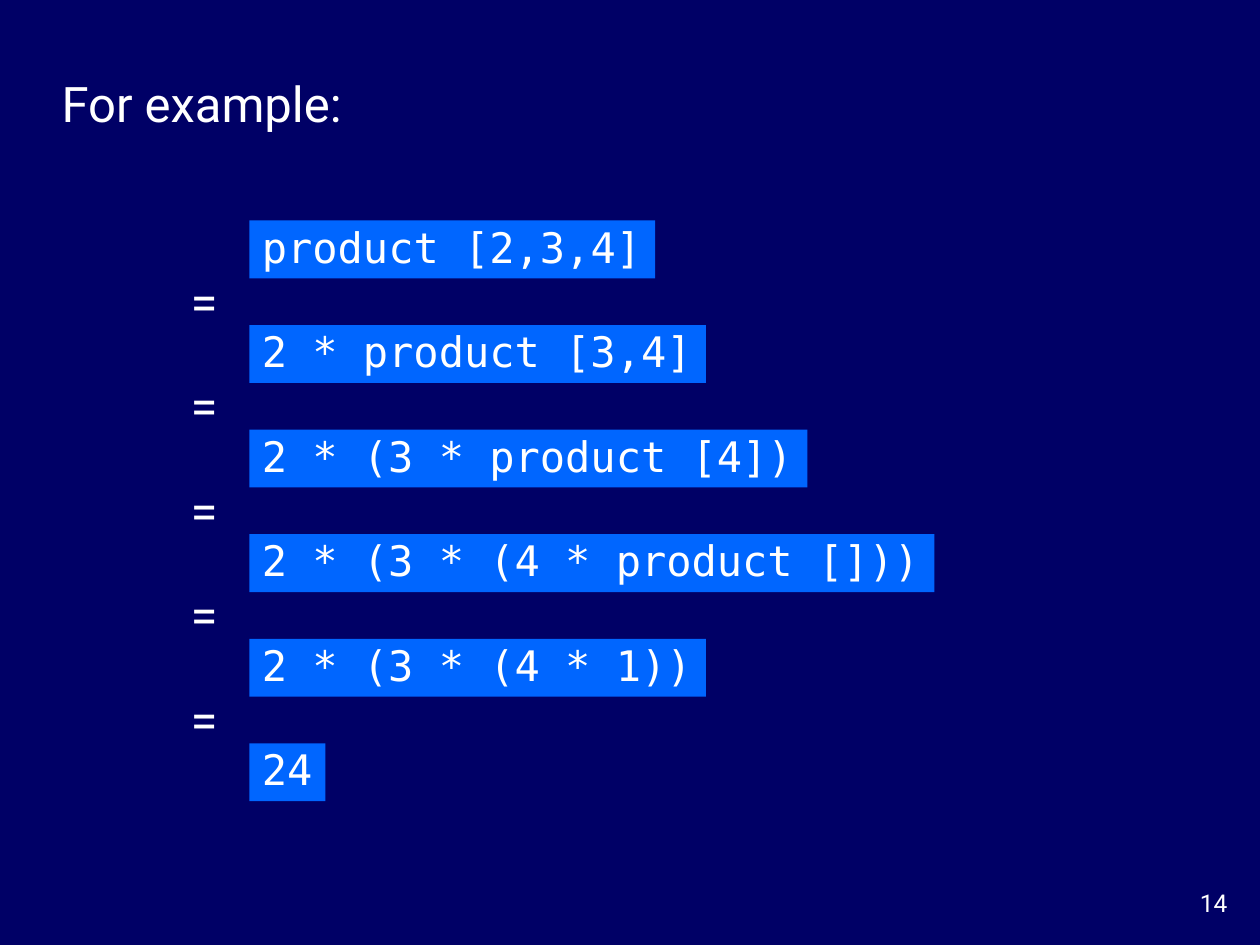
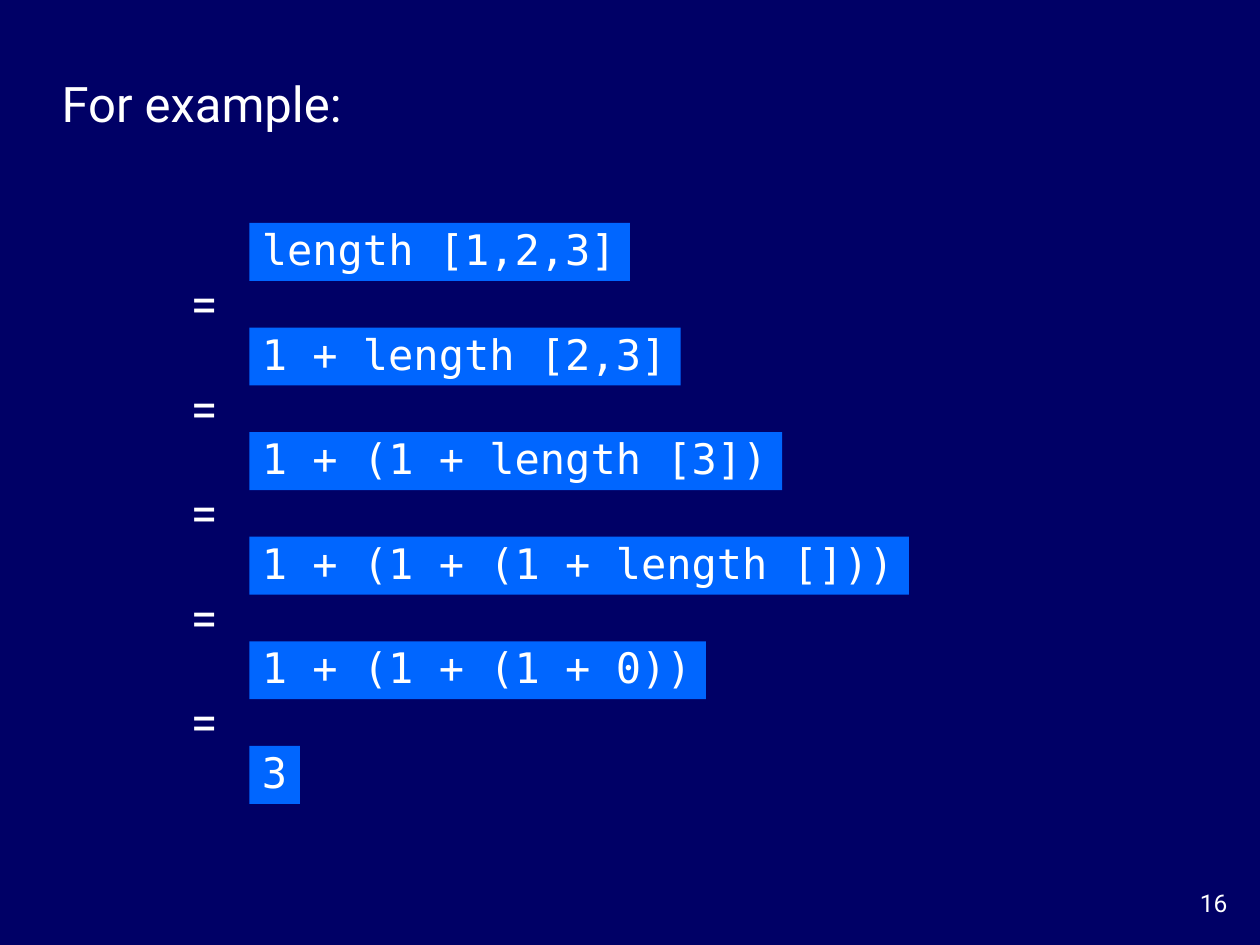
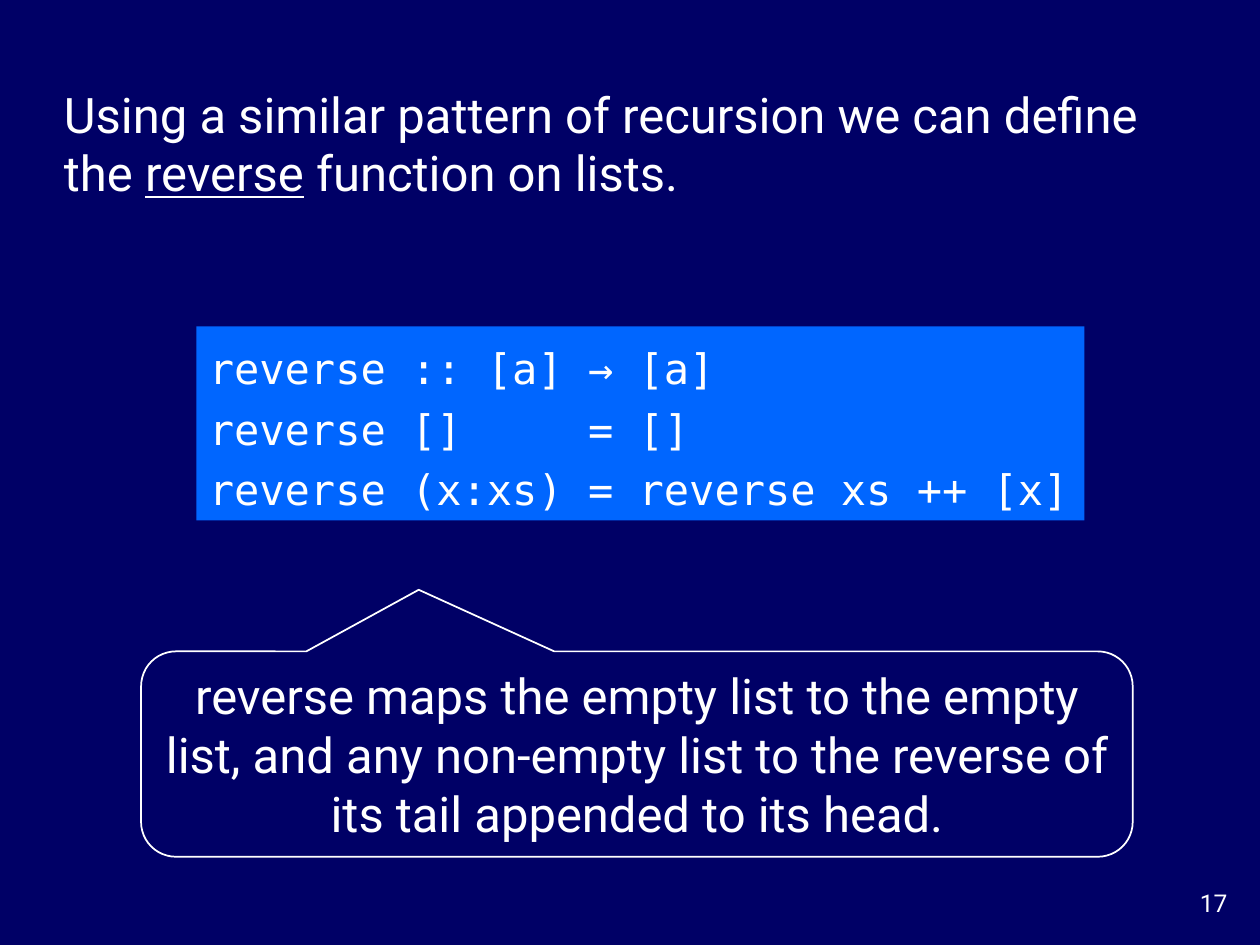
from pptx import Presentation
from pptx.dml.color import RGBColor
from pptx.enum import shapes, text
from pptx.util import Inches, Pt

# Shared style
NAVY = RGBColor(0x00, 0x00, 0x66)
BLUE = RGBColor(0x00, 0x66, 0xFF)
WHITE = RGBColor(0xFF, 0xFF, 0xFF)
BODY = {"name": "Roboto", "size": Pt(28)}
CODE = {"name": "DejaVu Sans Mono", "size": Pt(24)}
FOOTER = {"name": "Roboto", "size": Pt(14)}
LEFT, CENTER, RIGHT = (text.PP_ALIGN.LEFT, text.PP_ALIGN.CENTER,
                       text.PP_ALIGN.RIGHT)

# Content: page number, top of the first step, steps of the evaluation
EXAMPLES = [
    (14, 1.75, ["product [2,3,4]", "2 * product [3,4]",
                "2 * (3 * product [4])", "2 * (3 * (4 * product []))",
                "2 * (3 * (4 * 1))", "24"]),
    (16, 1.77, ["length [1,2,3]", "1 + length [2,3]",
                "1 + (1 + length [3])", "1 + (1 + (1 + length []))",
                "1 + (1 + (1 + 0))", "3"]),
]
REVERSE_PAGE = 17
REVERSE_INTRO = [("Using a similar pattern of recursion we can define the ", False),
                 ("reverse", True), (" function on lists.", False)]
REVERSE_CODE = ["reverse :: [a] → [a]",
                "reverse []     = []",
                "reverse (x:xs) = reverse xs ++ [x]"]
REVERSE_NOTE = ("reverse maps the empty list to the empty list, and any non-empty "
                "list to the reverse of its tail appended to its head.")

# Layout, in inches
STEP_LEFT, STEP_PITCH, STEP_HEIGHT = 1.98, 0.83, 0.46
EQUALS_LEFT, EQUALS_RISE = 1.38, 0.48
CHAR_WIDTH = 14.5 / 72
INSET = 0.1


def set_text(sp, paragraphs, font, align=LEFT, spacing=None, wrap=False, fit=True):
    """Fill a shape; each paragraph is a string or a list of (words, underline)."""
    tf = sp.text_frame
    tf.word_wrap = wrap
    if fit:
        tf.auto_size = text.MSO_AUTO_SIZE.SHAPE_TO_FIT_TEXT
        tf.vertical_anchor = text.MSO_ANCHOR.MIDDLE
    for i, runs in enumerate(paragraphs):
        p = tf.paragraphs[0] if i == 0 else tf.add_paragraph()
        p.alignment = align
        if spacing:
            p.line_spacing = spacing
        for words, underline in [(runs, False)] if isinstance(runs, str) else runs:
            r = p.add_run()
            r.text = words
            for key, value in font.items():
                setattr(r.font, key, value)
            r.font.color.rgb = WHITE
            if underline:
                r.font.underline = True


def add_text(parent, box, paragraphs, font, **options):
    sp = parent.add_textbox(*map(Inches, box))
    set_text(sp, paragraphs, font, **options)


def add_code(parent, left, top, height, lines, spacing):
    width = max(map(len, lines)) * CHAR_WIDTH + 2 * INSET
    sp = parent.add_shape(shapes.MSO_SHAPE.RECTANGLE,
                          *map(Inches, (left, top, width, height)))
    sp.shadow.inherit = False
    sp.fill.solid()
    sp.fill.fore_color.rgb = BLUE
    sp.line.fill.background()
    set_text(sp, lines, CODE, spacing=spacing)


def add_slide(prs, page):
    slide = prs.slides.add_slide(prs.slide_layouts[6])
    add_text(slide.shapes, (9.17, 7, 0.67, 0.33), [str(page)], FOOTER,
             align=RIGHT, wrap=True, fit=False)
    return slide


def add_example(prs, page, first_top, steps):
    slide = add_slide(prs, page)
    add_text(slide.shapes, (0.39, 0.53, 2.45, 0.57), ["For example:"], BODY)
    for i, step in enumerate(steps):
        top = first_top + i * STEP_PITCH
        # Every later step is grouped with the equals sign above it
        parent = slide.shapes.add_group_shape().shapes if i else slide.shapes
        add_code(parent, STEP_LEFT, top, STEP_HEIGHT, [step], 0.9)
        if i:
            add_text(parent, (EQUALS_LEFT, top - EQUALS_RISE, 0.48, 0.57), ["="],
                     BODY, align=CENTER)


def add_reverse(prs):
    slide = add_slide(prs, REVERSE_PAGE)
    add_text(slide.shapes, (0.41, 0.62, 9.04, 1.03), [REVERSE_INTRO], BODY, wrap=True)
    add_code(slide.shapes, 1.56, 2.59, 1.54, REVERSE_CODE, 1.2)
    # Callout pointing up at the definition
    sp = slide.shapes.add_shape(shapes.MSO_SHAPE.ROUNDED_RECTANGULAR_CALLOUT,
                                *map(Inches, (1.12, 5.17, 7.87, 1.63)))
    for i, value in enumerate((-0.22, -0.8, 0.17)):
        sp.adjustments[i] = value
    sp.shadow.inherit = False
    sp.fill.background()
    sp.line.color.rgb = WHITE
    sp.line.width = Pt(1)
    set_text(sp, [REVERSE_NOTE], BODY, align=CENTER, wrap=True)


def main():
    prs = Presentation()
    prs.slide_width, prs.slide_height = Inches(10), Inches(7.5)
    background = prs.slide_master.background.fill
    background.solid()
    background.fore_color.rgb = NAVY
    for example in EXAMPLES:
        add_example(prs, *example)
    add_reverse(prs)
    prs.save("out.pptx")


if __name__ == "__main__":
    main()
